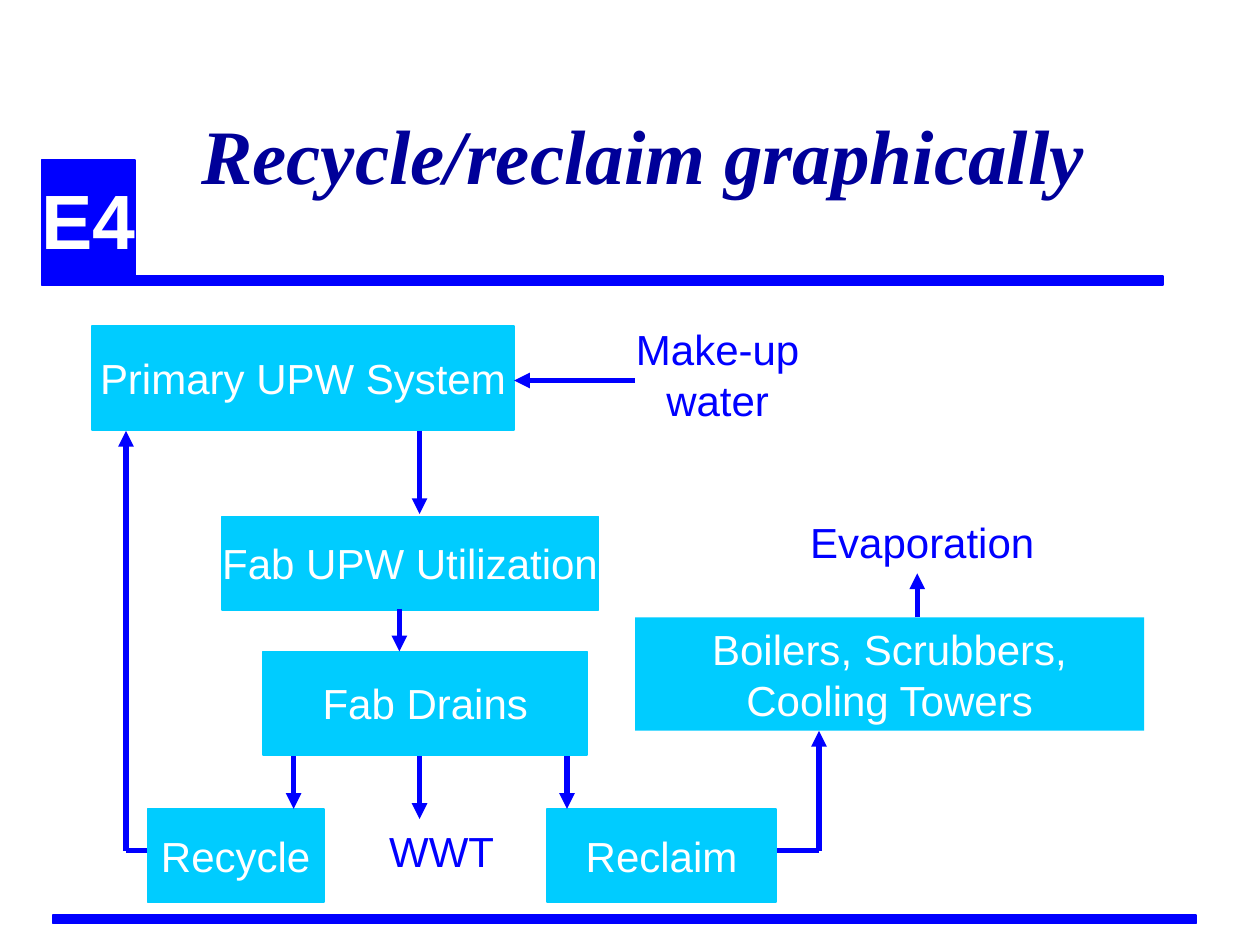
from lxml.etree import SubElement
from pptx import Presentation
from pptx.dml.color import RGBColor
from pptx.enum.shapes import MSO_CONNECTOR, MSO_SHAPE
from pptx.enum.text import MSO_ANCHOR, PP_ALIGN
from pptx.oxml.ns import qn
from pptx.util import Inches, Pt

BLUE, CYAN, NAVY, WHITE = "0000FF", "00CCFF", "000099", "FFFFFF"


def paint(color_format, color):
    color_format.rgb = RGBColor.from_string(color)


def write(frame, text, size=24, color=WHITE, font="Arial", bold=False,
          italic=False, align=PP_ALIGN.CENTER, wrap=False):
    frame.word_wrap = wrap
    frame.vertical_anchor = MSO_ANCHOR.MIDDLE
    paragraph = frame.paragraphs[0]
    paragraph.alignment = align
    run = paragraph.add_run()
    run.text = text
    run.font.name, run.font.size = font, Pt(size)
    run.font.bold, run.font.italic = bold, italic
    paint(run.font.color, color)


class FlowSlide:
    def __init__(self, slide):
        self.shapes = slide.shapes

    def block(self, left, top, width, height, fill=CYAN, outline=True):
        block = self.shapes.add_shape(
            MSO_SHAPE.RECTANGLE, Inches(left), Inches(top), Inches(width), Inches(height))
        block.shadow.inherit = False
        block.fill.solid()
        paint(block.fill.fore_color, fill)
        if outline:
            block.line.width = Pt(1)
            paint(block.line.color, fill)
        else:
            block.line.fill.background()
        return block.text_frame

    def label(self, left, top, width, height, text, **style):
        label = self.shapes.add_textbox(
            Inches(left), Inches(top), Inches(width), Inches(height))
        write(label.text_frame, text, **{"color": BLUE, **style})

    def flow(self, *points):
        """Draw straight segments through the points, ending in an arrowhead."""
        for start, end in zip(points, points[1:]):
            segment = self.shapes.add_connector(
                MSO_CONNECTOR.STRAIGHT, *(Inches(v) for v in start + end))
            segment.line.width = Pt(3)
            paint(segment.line.color, BLUE)
            properties = segment._element.spPr
            if end == points[-1]:
                SubElement(properties.find(qn("a:ln")), qn("a:tailEnd"), type="triangle")
            SubElement(properties, qn("a:effectLst"))


def main():
    deck = Presentation()
    deck.slide_width, deck.slide_height = Inches(10), Inches(7.5)
    page = FlowSlide(deck.slides.add_slide(deck.slide_layouts[6]))

    # Badge, rules and title
    write(page.block(0.33, 1.27, 0.74, 0.93, BLUE), "E4", size=44, bold=True)
    page.block(0.33, 2.19, 8.9, 0.07, BLUE)
    page.block(0.42, 7.26, 9.07, 0.07, BLUE)
    page.label(1.5, 0.52, 7.75, 1.4, "Recycle/reclaim graphically", size=44, color=NAVY,
               font="Times New Roman", bold=True, italic=True,
               align=PP_ALIGN.LEFT, wrap=True)

    # Process steps
    for step, *place in (
        ("Primary UPW System", 0.73, 2.59, 3.35, 0.82),
        ("Fab UPW Utilization", 1.76, 4.1, 2.99, 0.74),
        ("Fab Drains", 2.09, 5.17, 2.57, 0.82),
        ("Recycle", 1.17, 6.42, 1.4, 0.74),
        ("Reclaim", 4.34, 6.42, 1.82, 0.74),
    ):
        write(page.block(*place), step)
    write(page.block(5.04, 4.9, 4.04, 0.9, outline=False),
          "Boilers, Scrubbers, Cooling Towers", wrap=True)

    # Water flows
    for route in (
        ((5.04, 3.02), (4.08, 3.02)),
        ((3.33, 3.42), (3.33, 4.08)),
        ((3.17, 4.83), (3.17, 5.17)),
        ((2.33, 6), (2.33, 6.42)),
        ((3.33, 6), (3.33, 6.5)),
        ((4.5, 6), (4.5, 6.42)),
        ((1.17, 6.75), (1, 6.75), (1, 3.42)),
        ((6.17, 6.75), (6.5, 6.75), (6.5, 5.8)),
        ((7.28, 4.9), (7.28, 4.55)),
    ):
        page.flow(*route)

    # Inlet and outlets
    page.label(4.74, 2.52, 1.91, 0.9, "Make-up water", wrap=True)
    page.label(6.33, 4.05, 1.98, 0.5, "Evaporation")
    page.label(2.99, 6.5, 1.03, 0.5, "WWT")

    deck.save("out.pptx")


if __name__ == "__main__":
    main()
